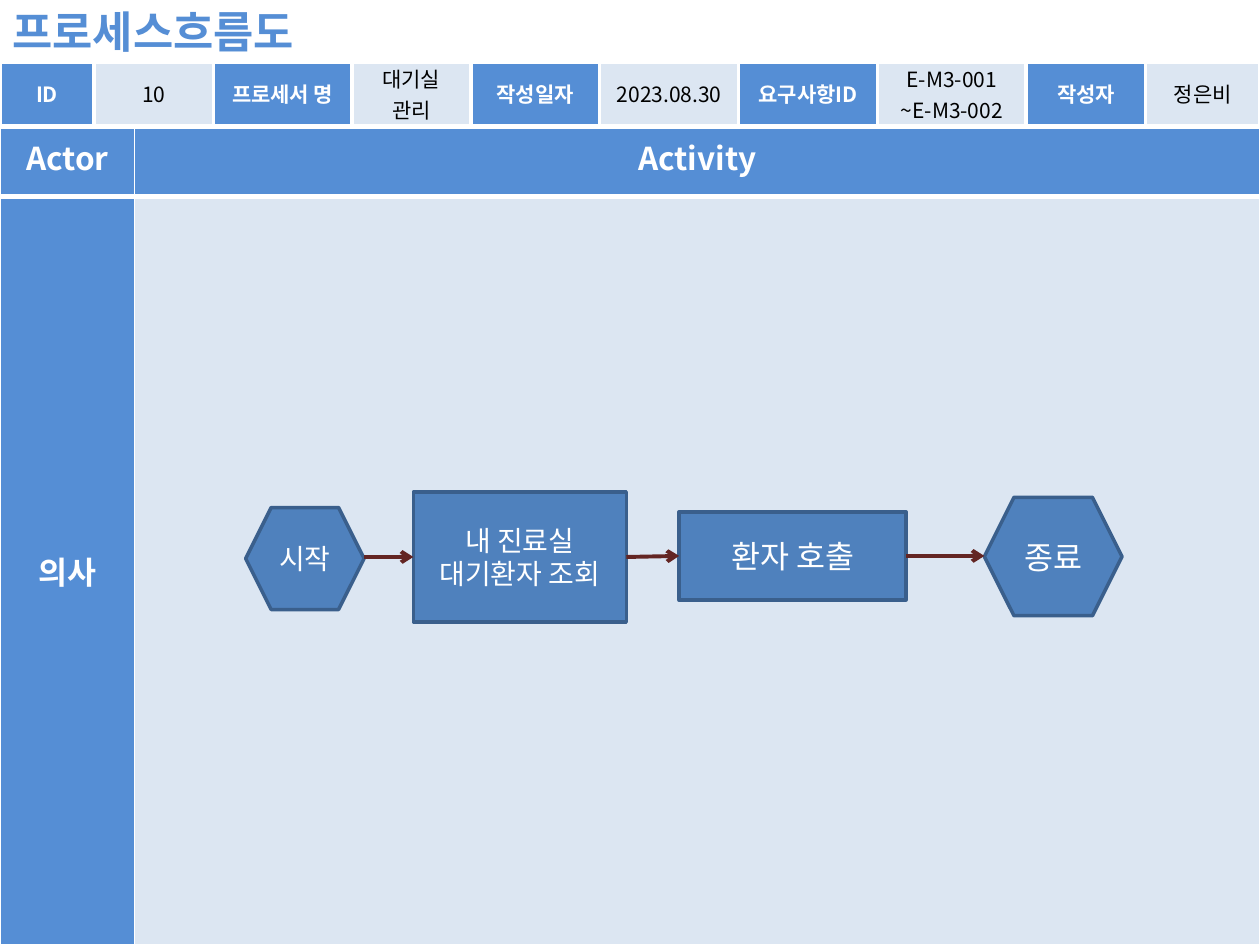
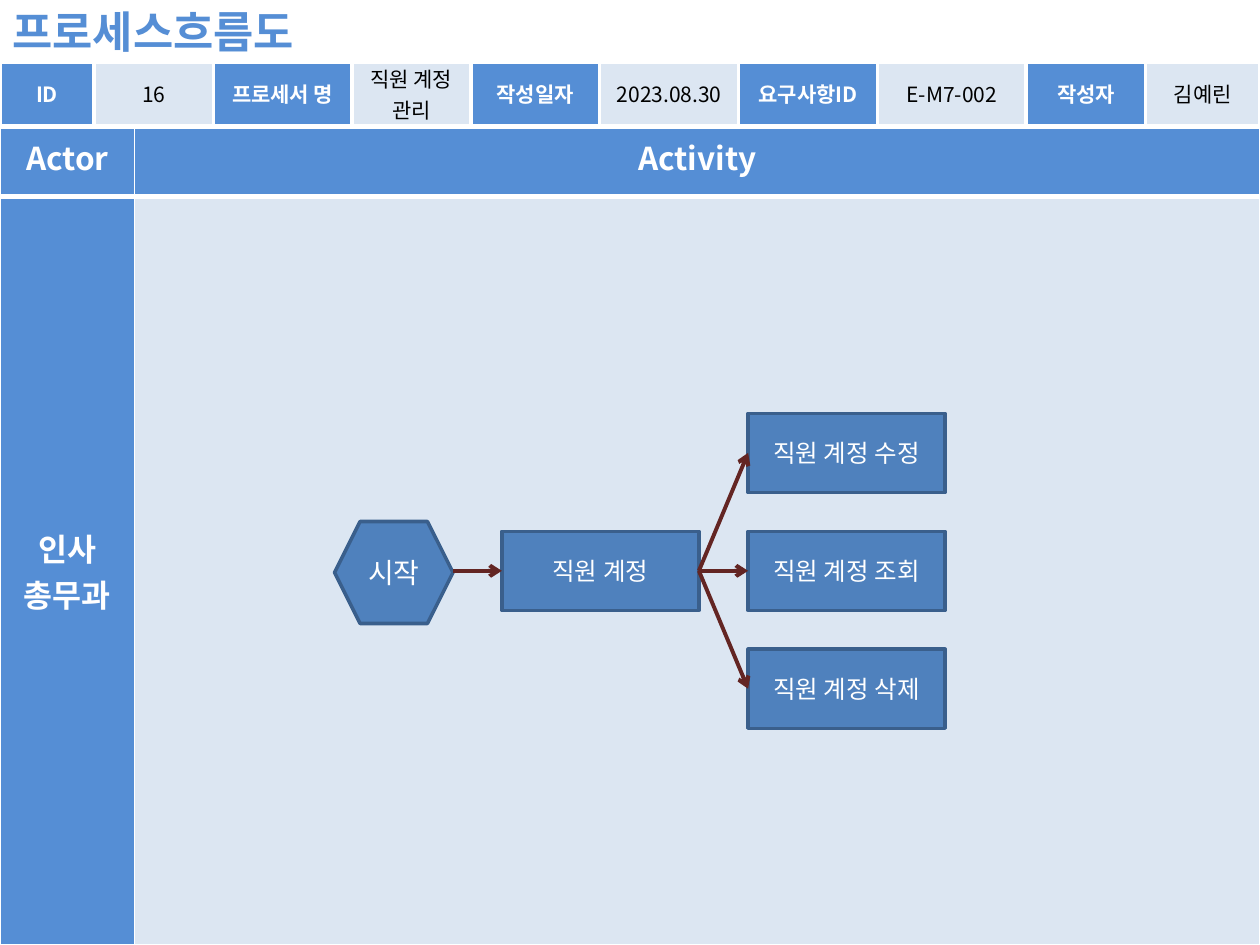
from lxml.etree import SubElement
from pptx import Presentation
from pptx.dml.color import RGBColor
from pptx.enum.shapes import MSO_CONNECTOR, MSO_SHAPE
from pptx.enum.text import MSO_ANCHOR, PP_ALIGN
from pptx.oxml.ns import qn
from pptx.util import Pt

# Shared style
FONT = "Noto Sans CJK KR"
WHITE, BLACK = "FFFFFF", "000000"
HEADER_BLUE, PALE_BLUE = "558ED5", "DCE6F2"
STEP_FILL, STEP_LINE, ARROW_RED = "4F81BD", "3A5F8C", "632523"
HEXAGON, RECTANGLE = MSO_SHAPE.HEXAGON, MSO_SHAPE.RECTANGLE
LEFT_SIDE, RIGHT_SIDE = 1, 3

colour = RGBColor.from_string
INFO_LABELS = ["ID", "프로세서 명", "작성일자", "요구사항ID", "작성자"]
INFO_WIDTHS = [53.7, 68.3, 79.1, 68, 73.7, 79.4, 79.4, 84.9, 68.3, 65.2]

# Steps: shape, left, top, width, height, text size, text; arrows: step numbers
PROCESSES = [
    {
        "values": ["10", "대기실\n관리", "2023.08.30", "E-M3-001\n~E-M3-002", "정은비"],
        "actor": "의사",
        "steps": [
            (HEXAGON, 140.4, 290, 67.7, 58.3, 16, "시작"),
            (RECTANGLE, 236.2, 281.2, 121.7, 74.2, 16, "내 진료실\n대기환자 조회"),
            (RECTANGLE, 388.1, 292.5, 129.6, 50.4, 18, "환자 호출"),
            (HEXAGON, 562.5, 284.2, 78.7, 67.7, 18, "종료"),
        ],
        "arrows": [(0, 1), (1, 2), (2, 3)],
    },
    {
        "values": ["16", "직원 계정\n관리", "2023.08.30", "E-M7-002", "김예린"],
        "actor": "인사\n총무과",
        "steps": [
            (HEXAGON, 191.2, 298, 67.7, 58.3, 16, "시작"),
            (RECTANGLE, 286.8, 303.6, 112.6, 45.2, 14, "직원 계정"),
        ] + [
            (RECTANGLE, 427.5, 236.2 + 67.4 * row, 112.6, 45.2, 14, text)
            for row, text in enumerate(["직원 계정 수정", "직원 계정 조회", "직원 계정 삭제"])
        ],
        "arrows": [(0, 1), (1, 2), (1, 3), (1, 4)],
    },
]


def write_text(text_frame, text, size, text_colour, bold=False, align=PP_ALIGN.CENTER):
    text_frame.text = text
    for paragraph in text_frame.paragraphs:
        paragraph.alignment = align
        for run in paragraph.runs:
            run.font.name = FONT
            run.font.size = Pt(size)
            run.font.bold = bold
            run.font.color.rgb = colour(text_colour)
            SubElement(run.font._element, qn("a:ea"), typeface=FONT)


def paint_cell(cell, fill, side_width, bottom_width):
    properties = cell._tc.get_or_add_tcPr()
    for side in "LRTB":
        width = bottom_width if side == "B" else side_width
        border = SubElement(properties, qn(f"a:ln{side}"), w=str(Pt(width)))
        solid = SubElement(border, qn("a:solidFill"))
        SubElement(solid, qn("a:srgbClr"), val=WHITE)
    cell.fill.solid()
    cell.fill.fore_color.rgb = colour(fill)
    cell.vertical_anchor = MSO_ANCHOR.MIDDLE


presentation = Presentation()
presentation.slide_width, presentation.slide_height = Pt(720), Pt(540)

for process in PROCESSES:
    slide = presentation.slides.add_slide(presentation.slide_layouts[5])

    # Title
    title = slide.shapes.title
    title.left, title.top, title.width, title.height = Pt(0), Pt(-0.7), Pt(191.5), Pt(37.4)
    title.text_frame.word_wrap = False
    title.text_frame.vertical_anchor = MSO_ANCHOR.TOP
    write_text(title.text_frame, "프로세스흐름도", 25, HEADER_BLUE, True, PP_ALIGN.LEFT)

    # Actor and activity table
    activity_table = slide.shapes.add_table(2, 2, Pt(0), Pt(73.2), Pt(720), Pt(466.8)).table
    for column, width in zip(activity_table.columns, [77, 643]):
        column.width = Pt(width)
    for row, height in zip(activity_table.rows, [39.2, 427.6]):
        row.height = Pt(height)
    for row, texts in enumerate([("Actor", "Activity"), (process["actor"], "")]):
        for column, text in enumerate(texts):
            cell = activity_table.cell(row, column)
            paint_cell(cell, HEADER_BLUE if text else PALE_BLUE, 1, 1 if row else 3)
            if row == 0:
                cell.vertical_anchor = MSO_ANCHOR.TOP
            if text:
                write_text(cell.text_frame, text, 18, WHITE, True)

    # Process steps
    steps = []
    for kind, left, top, width, height, size, text in process["steps"]:
        step = slide.shapes.add_shape(kind, Pt(left), Pt(top), Pt(width), Pt(height))
        step.shadow.inherit = False
        step.fill.solid()
        step.fill.fore_color.rgb = colour(STEP_FILL)
        step.line.color.rgb = colour(STEP_LINE)
        step.line.width = Pt(2)
        step.text_frame.vertical_anchor = MSO_ANCHOR.MIDDLE
        write_text(step.text_frame, text, size, WHITE)
        steps.append(step)

    # Arrows, level with the rectangle when the other end is a hexagon
    for start, end in process["arrows"]:
        source, target = steps[start], steps[end]
        level_step = target if source.auto_shape_type == HEXAGON else source
        level = level_step.top + level_step.height // 2
        arrow = slide.shapes.add_connector(
            MSO_CONNECTOR.STRAIGHT, source.left + source.width, level, target.left, level)
        if source.auto_shape_type == RECTANGLE:
            arrow.begin_connect(source, RIGHT_SIDE)
        if target.auto_shape_type == RECTANGLE:
            arrow.end_connect(target, LEFT_SIDE)
        arrow.line.color.rgb = colour(ARROW_RED)
        arrow.line.width = Pt(2.25)
        SubElement(arrow.line._get_or_add_ln(), qn("a:tailEnd"), type="arrow")
        SubElement(arrow._element.spPr, qn("a:effectLst"))

    # Process information table: labels and values in turn
    info_table = slide.shapes.add_table(1, len(INFO_WIDTHS), Pt(0), Pt(35.6), Pt(720), Pt(36)).table
    for column, width in zip(info_table.columns, INFO_WIDTHS):
        column.width = Pt(width)
    for pair, texts in enumerate(zip(INFO_LABELS, process["values"])):
        for offset, text in enumerate(texts):
            is_label = offset == 0
            cell = info_table.cell(0, 2 * pair + offset)
            cell.margin_top = cell.margin_bottom = Pt(0)
            paint_cell(cell, HEADER_BLUE if is_label else PALE_BLUE, 2.25, 2.25)
            write_text(cell.text_frame, text, 12, WHITE if is_label else BLACK, is_label)

presentation.save("out.pptx")
